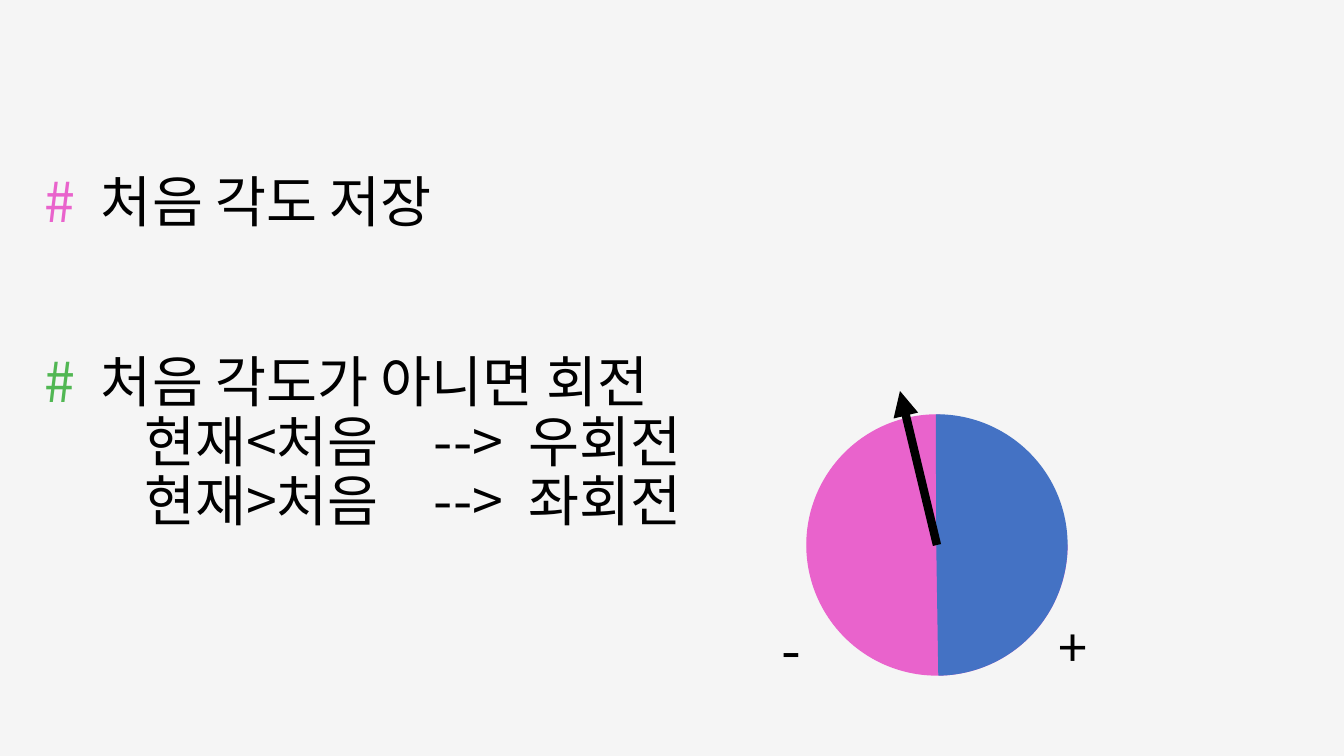
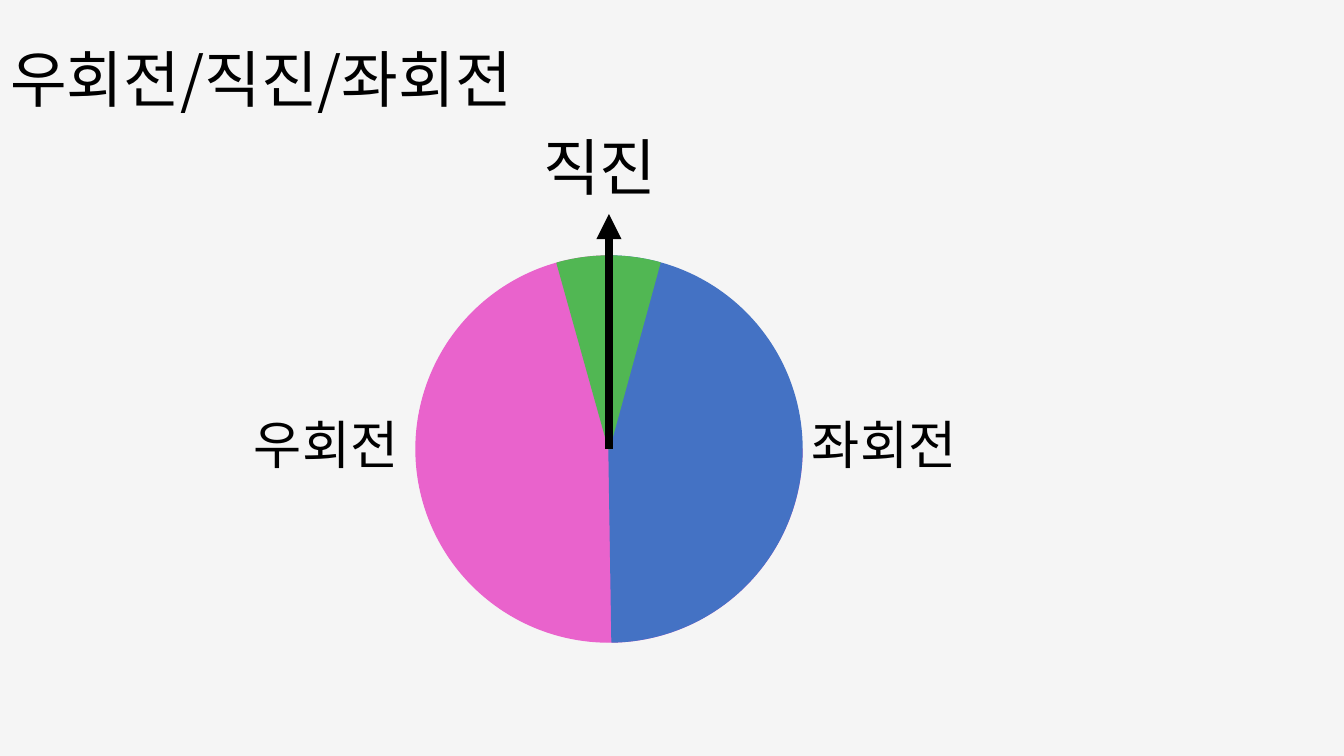
from lxml import etree
from pptx import Presentation
from pptx.dml.color import RGBColor
from pptx.enum.shapes import MSO_CONNECTOR, MSO_SHAPE
from pptx.enum.text import MSO_ANCHOR
from pptx.oxml.ns import qn
from pptx.util import Emu, Pt

PIE = MSO_SHAPE.PIE
STRAIGHT = MSO_CONNECTOR.STRAIGHT
MIDDLE = MSO_ANCHOR.MIDDLE

FONT = "Noto Sans CJK KR"
COLORS = {
    "background": "F5F5F5",
    "text": "000000",
    "right_turn": "E963CC",
    "left_turn": "4472C4",
    "straight": "51B753",
}
# Start and end of each slice, in degrees clockwise from three o'clock
RIGHT_TURN = ("right_turn", 0, 271.3)
LEFT_TURN = ("left_turn", 269.8, 89.1)
STRAIGHT_ON = ("straight", 254.4, 285.3)
ADJUSTMENT_PER_DEGREE = 0.6
INSET = 10


def px(length):
    return Emu(round(length * 914400 / 100.8))


def color(name):
    return RGBColor.from_string(COLORS[name])


def add_slide(presentation):
    slide = presentation.slides.add_slide(presentation.slide_layouts[6])
    fill = slide.background.fill
    fill.solid()
    fill.fore_color.rgb = color("background")
    return slide


def add_text_frame(slide, left, top, width, height):
    box = slide.shapes.add_textbox(px(left), px(top), px(width), px(height))
    frame = box.text_frame
    frame.word_wrap = True
    frame.vertical_anchor = MIDDLE
    frame.margin_left = frame.margin_right = px(INSET)
    frame.margin_top = frame.margin_bottom = 0
    return frame


def add_tabs(paragraph, stops):
    tab_list = etree.SubElement(paragraph._p.get_or_add_pPr(), qn("a:tabLst"))
    for stop in stops:
        etree.SubElement(tab_list, qn("a:tab"), pos=str(px(stop)), algn="l")


def style_paragraph(paragraph, size, line_spacing):
    paragraph.line_spacing = line_spacing
    font = paragraph.font
    font.size = Pt(size)
    font.color.rgb = color("text")
    font.name = FONT
    properties = paragraph._p.pPr.find(qn("a:defRPr"))
    etree.SubElement(properties, qn("a:ea"), typeface=FONT)


def add_label(slide, text, box, size, line_spacing):
    paragraph = add_text_frame(slide, *box).paragraphs[0]
    paragraph.text = text
    style_paragraph(paragraph, size, line_spacing)


def add_steps(slide, left, top, width, height):
    """Place the steps marked by # signs, with conditions set in by tab stops."""
    heading_tabs, condition_tabs = (57,), (100, 390, 484)
    steps = [
        ("right_turn", "\t처음 각도 저장", heading_tabs, 0),
        ("straight", "\t처음 각도가 아니면 회전", heading_tabs, 86),
        (None, "\t현재<처음\t-->\t우회전", condition_tabs, 0),
        (None, "\t현재>처음\t-->\t좌회전", condition_tabs, 0),
    ]
    frame = add_text_frame(slide, left, top, width, height)
    for index, (sign_color, text, tabs, gap) in enumerate(steps):
        paragraph = frame.add_paragraph() if index else frame.paragraphs[0]
        add_tabs(paragraph, tabs)
        if gap:
            paragraph.space_before = Pt(gap)
        style_paragraph(paragraph, 39.6, 0.9)
        if sign_color:
            sign = paragraph.add_run()
            sign.text = "#"
            sign.font.color.rgb = color(sign_color)
        paragraph.add_run().text = text


def add_dial(slide, left, top, size, slices, reach):
    """Draw the slices and a needle reaching (x, y) from the centre."""
    for name, start, end in slices:
        shape = slide.shapes.add_shape(PIE, px(left), px(top), px(size), px(size))
        shape.shadow.inherit = False
        shape.adjustments[0] = start * ADJUSTMENT_PER_DEGREE
        shape.adjustments[1] = end * ADJUSTMENT_PER_DEGREE
        shape.fill.solid()
        shape.fill.fore_color.rgb = color(name)
        shape.line.color.rgb = color(name)
        shape.line.width = Pt(1)

    center_x, center_y = left + size / 2, top + size / 2
    needle = slide.shapes.add_connector(
        STRAIGHT, px(center_x), px(center_y),
        px(center_x + reach[0]), px(center_y + reach[1]))
    needle.line.color.rgb = color("text")
    needle.line.width = Pt(6)
    etree.SubElement(needle.line._get_or_add_ln(), qn("a:tailEnd"), type="triangle")
    etree.SubElement(needle._element.spPr, qn("a:effectLst"))


def build_angle_slide(presentation):
    slide = add_slide(presentation)
    add_steps(slide, 34, 175, 1159, 358)
    add_label(slide, "-", (772, 625, 128, 64), 40.7, 0.7)
    add_label(slide, "+", (1049, 626, 128, 57), 37.4, 0.7)
    add_dial(slide, 807, 415, 260, (RIGHT_TURN, LEFT_TURN), (-37, -154))


def build_direction_slide(presentation):
    slide = add_slide(presentation)
    add_label(slide, "우회전/직진/좌회전", (0, 10, 1159, 146), 44, 0.9)
    add_label(slide, "우회전", (244, 401, 180, 97), 37.4, 0.8)
    add_label(slide, "좌회전", (802, 401, 180, 97), 37.4, 0.8)
    add_dial(slide, 416, 256, 386, (RIGHT_TURN, LEFT_TURN, STRAIGHT_ON), (0, -235))
    add_label(slide, "직진", (533, 128, 151, 86), 44, 0.9)


def main():
    presentation = Presentation()
    presentation.slide_width = px(1344)
    presentation.slide_height = px(756)
    build_angle_slide(presentation)
    build_direction_slide(presentation)
    presentation.save("out.pptx")


if __name__ == "__main__":
    main()
